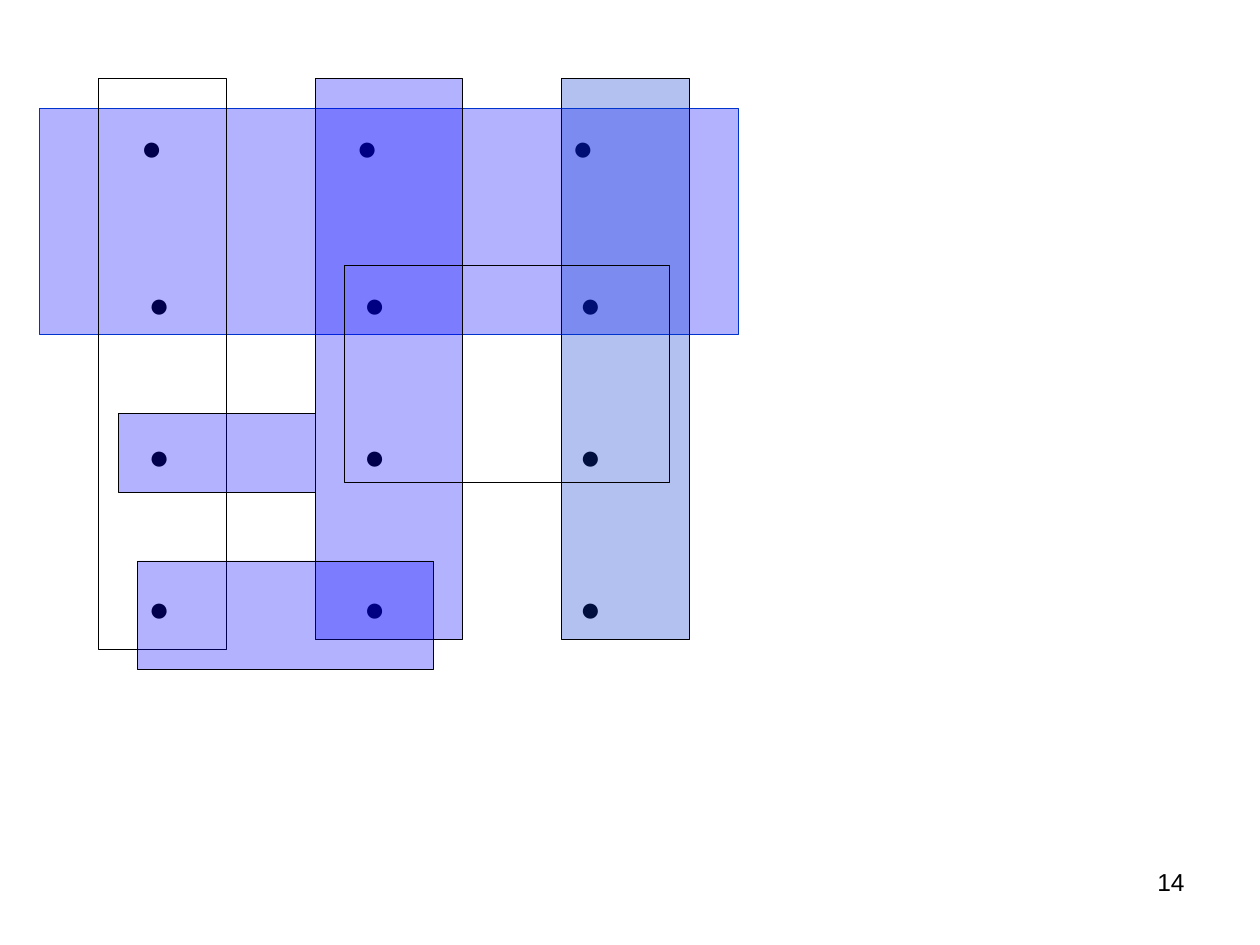
from lxml.etree import SubElement
from pptx import Presentation
from pptx.dml.color import RGBColor
from pptx.enum.shapes import MSO_SHAPE as Shape
from pptx.enum.text import MSO_ANCHOR as Anchor, PP_ALIGN as Align
from pptx.oxml.ns import qn
from pptx.util import Pt

BLACK, WHITE, BLUE, DEEP_BLUE = "000000", "FFFFFF", "0000FF", "0033CC"
FONT = "Arial"
OPACITY = 30
LINE_HEIGHT = 24
TOP_INSET = 15.6
COLUMN_PITCH = 123.2

PANEL = (11.5, 56.2, 686.2, 426.2)
NUMBER_BOX = (516.2, 491.8, 167.8, 37.4)
DOT_ROWS = [
    ("●", "●", "●"),
    ("●", "●", "●"),
    ("●", "●", "●"),
    ("●", "●", "●"),
]
ROW_LAYOUT = [(68.1, 0), (72.4, 65.7), (72.4, 62.8), (72.4, 62.8)]
GROUPS = [
    ((22.5, 61.9, 399.6, 129.4), BLUE, DEEP_BLUE),
    ((56.2, 45, 73.1, 326.2), None, BLACK),
    ((320.6, 45, 73.5, 320.6), DEEP_BLUE, BLACK),
    ((180, 45, 84.4, 320.6), BLUE, BLACK),
    ((196.9, 151.9, 185.6, 123.8), None, BLACK),
    ((78.8, 320.6, 168.8, 61.9), BLUE, BLACK),
    ((67.5, 236.2, 112.5, 45), BLUE, BLACK),
]


def color(value):
    return RGBColor.from_string(value)


def add_rectangle(slide, box, fill, line, width):
    shape = slide.shapes.add_shape(Shape.RECTANGLE, *map(Pt, box))
    shape.shadow.inherit = False
    shape.line.color.rgb = color(line)
    shape.line.width = Pt(width)
    if fill is None:
        shape.fill.background()
    else:
        shape.fill.solid()
        shape.fill.fore_color.rgb = color(fill)
        tint = shape.fill._xPr.find(qn("a:solidFill"))[0]
        SubElement(tint, qn("a:alpha"), val=str(OPACITY * 1000))
    return shape


def add_run(paragraph, text, size):
    run = paragraph.add_run()
    run.text = text
    run.font.name = FONT
    run.font.size = Pt(size)
    run.font.color.rgb = color(BLACK)


def add_tab_stops(paragraph, first, count):
    stops = SubElement(paragraph._p.get_or_add_pPr(), qn("a:tabLst"))
    for column in range(count):
        position = Pt(first + column * COLUMN_PITCH)
        SubElement(stops, qn("a:tab"), pos=str(int(position)), algn="ctr")


def add_dots(panel):
    frame = panel.text_frame
    frame.word_wrap = True
    frame.vertical_anchor = Anchor.TOP
    frame.margin_top = Pt(TOP_INSET)
    for index, (dots, (first, gap)) in enumerate(zip(DOT_ROWS, ROW_LAYOUT)):
        paragraph = frame.add_paragraph() if index else frame.paragraphs[0]
        paragraph.alignment = Align.LEFT
        paragraph.line_spacing = Pt(LINE_HEIGHT)
        paragraph.space_before = Pt(gap)
        add_tab_stops(paragraph, first, len(dots))
        for dot in dots:
            add_run(paragraph, "\t" + dot, 20)


def add_slide_number(slide):
    frame = slide.shapes.add_textbox(*map(Pt, NUMBER_BOX)).text_frame
    frame.word_wrap = True
    paragraph = frame.paragraphs[0]
    paragraph.alignment = Align.RIGHT
    add_run(paragraph, "14", 14)


def main():
    presentation = Presentation()
    presentation.slide_width, presentation.slide_height = Pt(720), Pt(540)
    slide = presentation.slides.add_slide(presentation.slide_layouts[6])
    add_dots(add_rectangle(slide, PANEL, None, WHITE, 0.75))
    add_slide_number(slide)
    for box, fill, line in GROUPS:
        add_rectangle(slide, box, fill, line, 0.5)
    presentation.save("out.pptx")


if __name__ == "__main__":
    main()
